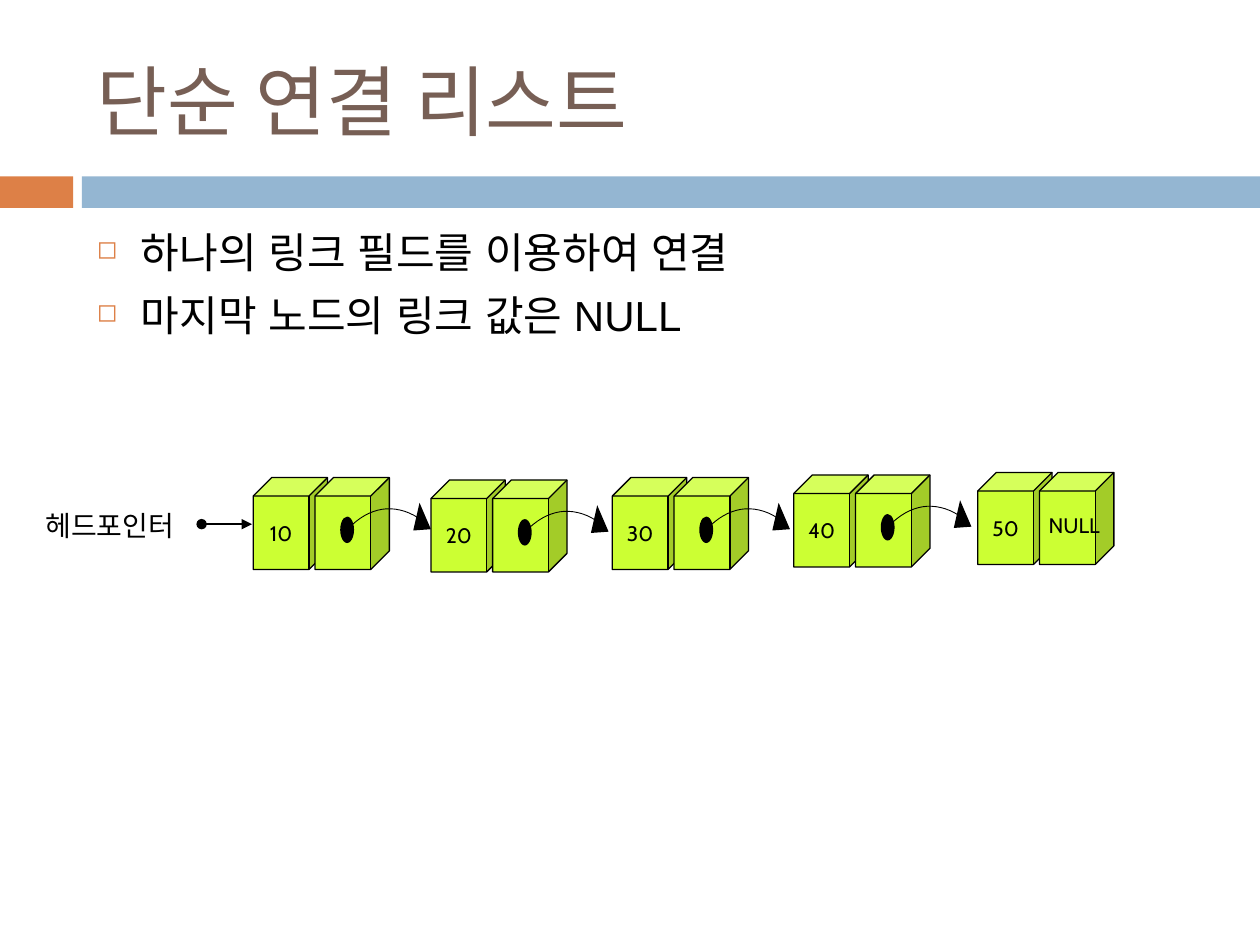
from dataclasses import dataclass

from lxml import etree
from pptx import Presentation
from pptx.dml.color import RGBColor
from pptx.enum.shapes import MSO_CONNECTOR, MSO_SHAPE
from pptx.enum.text import MSO_ANCHOR, PP_ALIGN
from pptx.oxml.ns import qn
from pptx.util import Inches, Pt

RECTANGLE, CUBE, OVAL = MSO_SHAPE.RECTANGLE, MSO_SHAPE.CUBE, MSO_SHAPE.OVAL
STRAIGHT = MSO_CONNECTOR.STRAIGHT
LEFT, CENTER = PP_ALIGN.LEFT, PP_ALIGN.CENTER
TOP, MIDDLE = MSO_ANCHOR.TOP, MSO_ANCHOR.MIDDLE


@dataclass(frozen=True)
class Theme:
    accent: str = "DD8047"
    band: str = "94B6D2"
    title: str = "775F55"
    ink: str = "000000"
    node: str = "CCFF33"
    heading_font: str = "Cabin"
    body_font: str = "Arial"
    title_size: int = 44
    body_size: int = 24
    label_size: int = 16
    node_size: int = 12
    outline: float = 0.75
    thin: float = 0.5


class SlideBuilder:
    def __init__(self, slide, theme):
        self.slide = slide
        self.theme = theme

    def paint(self, shape, fill=None, line=None, width=None):
        shape.shadow.inherit = False
        if fill:
            shape.fill.solid()
            shape.fill.fore_color.rgb = RGBColor.from_string(fill)
        else:
            shape.fill.background()
        if line:
            shape.line.color.rgb = RGBColor.from_string(line)
            shape.line.width = Pt(width or self.theme.outline)
        else:
            shape.line.fill.background()

    def shape(self, kind, box, fill=None, line=None):
        shape = self.slide.shapes.add_shape(kind, *map(Inches, box))
        self.paint(shape, fill, line)
        return shape

    def add_words(self, paragraph, text, size, font=None, color=None, align=LEFT):
        paragraph.alignment = align
        run = paragraph.add_run()
        run.text = text
        formats = {"name": font or self.theme.heading_font, "size": Pt(size)}
        for name, value in formats.items():
            setattr(run.font, name, value)
        run.font.color.rgb = RGBColor.from_string(color or self.theme.ink)
        east_asian = etree.SubElement(run.font._element, qn("a:ea"))
        east_asian.set("typeface", formats["name"])

    def cube(self, box, text, size, fill=None, line=None):
        shape = self.shape(CUBE, box, fill, line)
        frame = shape.text_frame
        frame.vertical_anchor = MIDDLE
        if text:
            self.add_words(frame.paragraphs[0], text, size, align=CENTER)

    def text_frame(self, box, anchor=TOP, wrap=True):
        frame = self.slide.shapes.add_textbox(*map(Inches, box)).text_frame
        for name, value in {"word_wrap": wrap, "vertical_anchor": anchor}.items():
            setattr(frame, name, value)
        return frame

    def text(self, box, text, size, color=None, anchor=TOP, align=LEFT, wrap=True):
        frame = self.text_frame(box, anchor, wrap)
        self.add_words(frame.paragraphs[0], text, size, color=color, align=align)

    def bullets(self, box, items):
        frame = self.text_frame(box)
        for index, item in enumerate(items):
            paragraph = frame.add_paragraph() if index else frame.paragraphs[0]
            self.add_words(paragraph, item, self.theme.body_size, self.theme.body_font)
            paragraph.space_before = Pt(7)
            properties = paragraph._p.get_or_add_pPr()
            properties.set("marL", str(Inches(0.35)))
            properties.set("indent", str(Inches(-0.35)))
            color = etree.SubElement(properties, qn("a:buClr"))
            etree.SubElement(color, qn("a:srgbClr")).set("val", self.theme.accent)
            etree.SubElement(properties, qn("a:buSzPct")).set("val", "60000")
            etree.SubElement(properties, qn("a:buChar")).set("char", "◻")

    def outline(self, points, closed=False, fill=None, line=None, width=None):
        points = [(Inches(x), Inches(y)) for x, y in points]
        builder = self.slide.shapes.build_freeform(*points[0])
        builder.add_line_segments(points[1:], close=closed)
        self.paint(builder.convert_to_shape(), fill, line, width)

    def curve(self, controls, steps=16):
        points = []
        for step in range(steps + 1):
            t = step / steps
            weights = ((1 - t) ** 3, 3 * t * (1 - t) ** 2, 3 * t * t * (1 - t), t ** 3)
            points.append(tuple(
                sum(weight * point[axis] for weight, point in zip(weights, controls))
                for axis in (0, 1)))
        self.outline(points, line=self.theme.ink, width=self.theme.thin)

    def arrow(self, start, end):
        connector = self.slide.shapes.add_connector(
            STRAIGHT, *map(Inches, (*start, *end)))
        connector.line.color.rgb = RGBColor.from_string(self.theme.ink)
        connector.line.width = Pt(self.theme.outline)
        properties = connector._element.spPr
        line = properties.find(qn("a:ln"))
        for tag, kind in {"a:headEnd": "oval", "a:tailEnd": "triangle"}.items():
            etree.SubElement(line, qn(tag)).set("type", kind)
        etree.SubElement(properties, qn("a:effectLst"))

    def node(self, left, top, value):
        theme = self.theme
        for offset, text in ((0, value), (0.49, None)):
            self.cube((left + offset, top, 0.59, 0.73), text, theme.node_size,
                      theme.node, theme.ink)

    def link(self, left, top):
        def place(points):
            return [(left + x, top + y) for x, y in points]

        self.curve(place([(0.75, 0.41), (0.92, 0.23), (1.12, 0.2), (1.31, 0.32)]))
        self.shape(OVAL, (left + 0.69, top + 0.31, 0.11, 0.21), self.theme.ink)
        self.outline(place([(1.32, 0.2), (1.41, 0.41), (1.27, 0.42)]),
                     closed=True, fill=self.theme.ink)


theme = Theme()
presentation = Presentation()
presentation.slide_width = Inches(10)
presentation.slide_height = Inches(7.5)
slide = presentation.slides.add_slide(presentation.slide_layouts[6])
builder = SlideBuilder(slide, theme)

builder.shape(RECTANGLE, (0, 1.4, 0.58, 0.25), theme.accent)
builder.shape(RECTANGLE, (0.65, 1.4, 9.35, 0.25), theme.band)
builder.text((0.67, 0.25, 8.92, 1.08), "단순 연결 리스트", theme.title_size,
             theme.title, MIDDLE)
builder.bullets((0.67, 1.75, 8.92, 4.92),
                ["하나의 링크 필드를 이용하여 연결", "마지막 노드의 링크 값은 NULL"])

builder.cube((0.18, 3.7, 1.57, 0.75), "헤드포인터", theme.label_size)
builder.arrow((1.6, 4.16), (2, 4.16))

nodes = [(2.01, 3.79, "10"), (3.42, 3.81, "20"), (4.86, 3.79, "30"),
         (6.3, 3.77, "40"), (7.76, 3.75, "50")]
for left, top, value in nodes:
    builder.node(left, top, value)
for left, top, value in nodes[:-1]:
    builder.link(left, top)
builder.text((8.21, 4.02, 0.63, 0.41), "NULL", theme.node_size,
             align=CENTER, wrap=False)

presentation.save("out.pptx")
